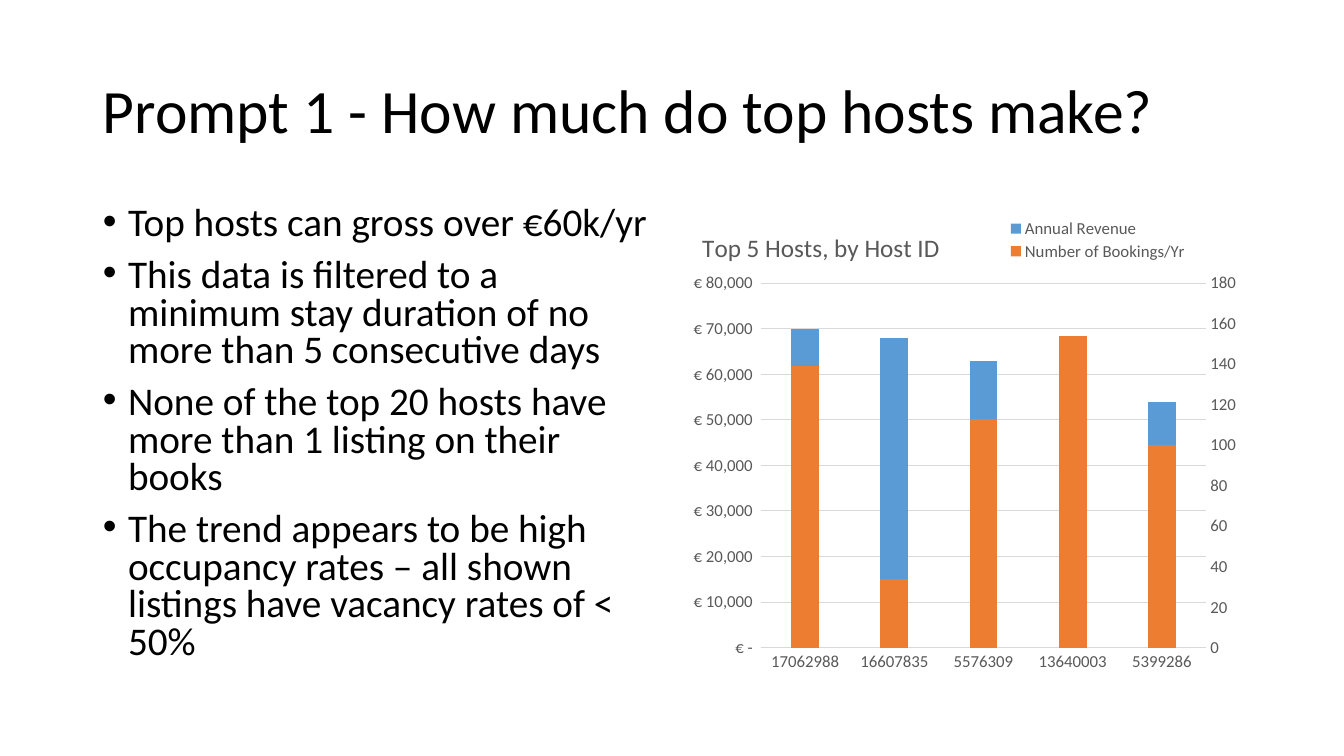
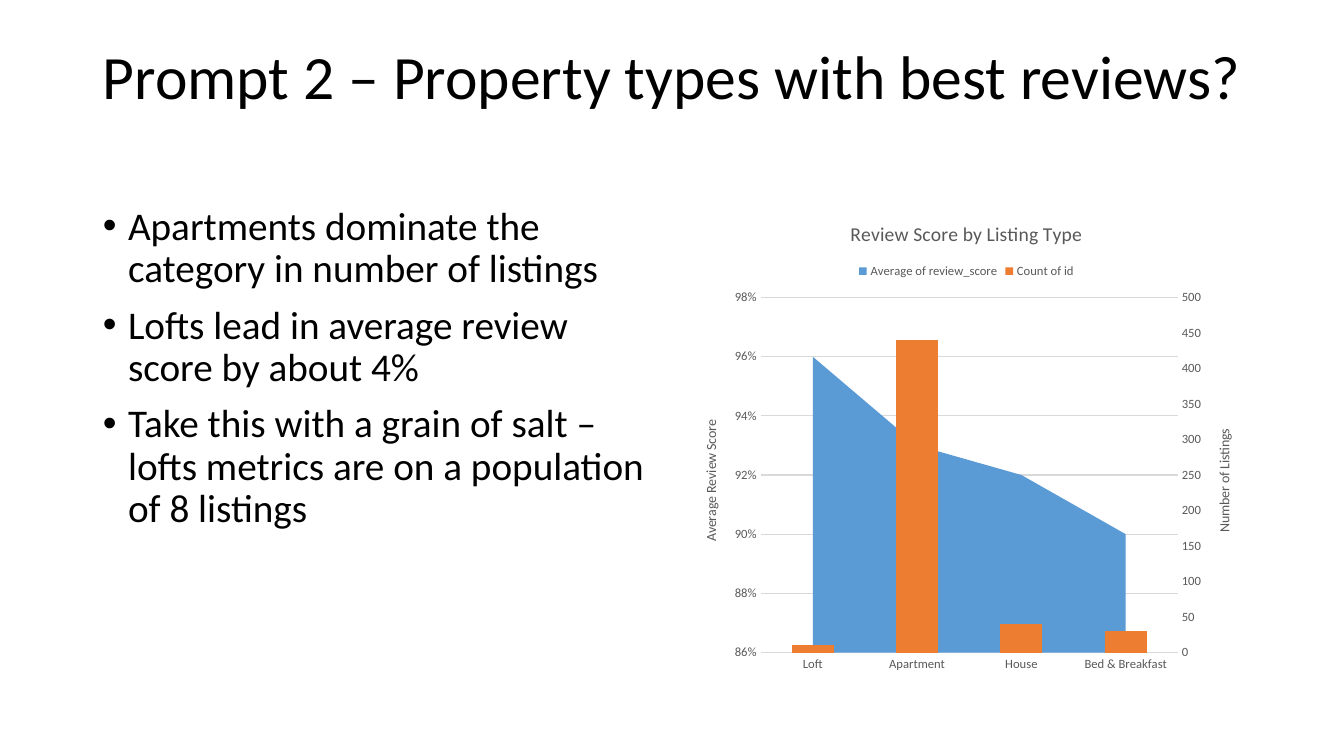
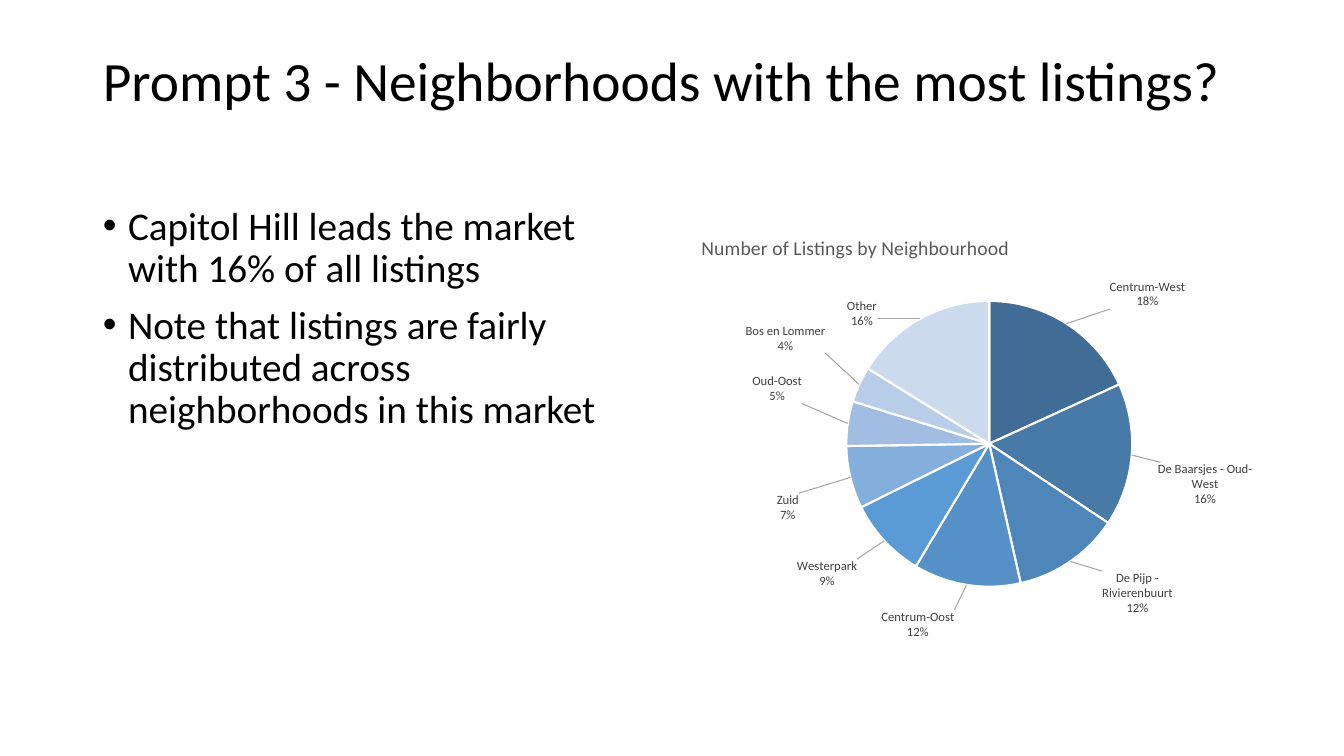
"""Build three slides about rental hosts, reviews and neighbourhoods."""
from copy import deepcopy

from pptx import Presentation
from pptx.chart.axis import CategoryAxis, ValueAxis
from pptx.chart.data import CategoryChartData
from pptx.dml.color import RGBColor
from pptx.enum.chart import XL_CHART_TYPE, XL_LABEL_POSITION, XL_LEGEND_POSITION, XL_TICK_MARK
from pptx.enum.text import MSO_ANCHOR, MSO_AUTO_SIZE, PP_ALIGN
from pptx.oxml import parse_xml
from pptx.oxml.ns import nsdecls, qn
from pptx.util import Inches, Pt

COLUMN, AREA, PIE = XL_CHART_TYPE.COLUMN_CLUSTERED, XL_CHART_TYPE.AREA, XL_CHART_TYPE.PIE
LEGEND_RIGHT, LEGEND_TOP = XL_LEGEND_POSITION.RIGHT, XL_LEGEND_POSITION.TOP
OUTSIDE_END = XL_LABEL_POSITION.OUTSIDE_END
NO_TICK = XL_TICK_MARK.NONE
LEFT, MIDDLE, TOP = PP_ALIGN.LEFT, MSO_ANCHOR.MIDDLE, MSO_ANCHOR.TOP
FIXED_SIZE = MSO_AUTO_SIZE.NONE

FONT = "Calibri"
COLORS = {
    "text": "000000", "muted": "595959", "label": "404040", "rule": "D9D9D9",
    "leader": "A6A6A6", "white": "FFFFFF", "blue": "5B9BD5", "orange": "ED7D31",
}
PIE_BLUES = ["406C95", "487AA8", "4F86B9", "5591C7", "5B9BD5",
             "84AEDC", "A1BEE2", "B8CDE8", "CCDAEE"]
EURO = r'_ [$€-413]\ * #,##0_ ;_ [$€-413]\ * \-#,##0_ ;_ [$€-413]\ * "-"_ ;_ @_ '
TITLE_AREA = (0.92, 0.4, 11.5, 1.45)
BODY_AREA = (0.92, 2, 5.67, 4.76)
CHART_AREA = (6.75, 2, 5.67, 4.76)


def rgb(value):
    return RGBColor.from_string(value)


def style_font(font, size, color):
    font.name, font.size, font.bold = FONT, Pt(size), False
    font.color.rgb = rgb(COLORS[color])


def style_line(line, color, width=0.75):
    line.color.rgb = rgb(COLORS[color])
    line.width = Pt(width)


def set_value(parent, tag, value):
    for child in parent.findall(qn(tag)):
        child.set("val", value)


def set_layout(holder, x, y, w=None, h=None, inner=False):
    old = holder.find(qn("c:layout"))
    if old is not None:
        holder.remove(old)
    parts = [("layoutTarget", "inner")] if inner else []
    parts += [("xMode", "edge"), ("yMode", "edge"), ("x", x), ("y", y)]
    if w is not None:
        parts += [("w", w), ("h", h)]
    body = "".join(f'<c:{tag} val="{value}"/>' for tag, value in parts)
    layout = parse_xml(f'<c:layout {nsdecls("c")}><c:manualLayout>{body}</c:manualLayout></c:layout>')
    holder.insert_element_before(layout, "c:areaChart", "c:barChart", "c:pieChart",
                                 "c:overlay", "c:spPr", "c:txPr")


class SlideBuilder:
    def __init__(self):
        self.deck = Presentation()
        self.deck.slide_width, self.deck.slide_height = Inches(13.33), Inches(7.5)
        self.page = None

    def add_page(self, title, size=44, bottom=0.05):
        self.page = self.deck.slides.add_slide(self.deck.slide_layouts[1])
        frame = self.fill_placeholder(0, TITLE_AREA, [title], size, 0.9)
        frame.vertical_anchor = MIDDLE
        frame.margin_bottom = Inches(bottom)

    def fill_placeholder(self, index, area, lines, size, spacing):
        box = self.page.placeholders[index]
        box.left, box.top, box.width, box.height = map(Inches, area)
        frame = box.text_frame
        frame.text = "\n".join(lines)
        frame.auto_size, frame.word_wrap = FIXED_SIZE, True
        for para in frame.paragraphs:
            para.alignment, para.line_spacing = LEFT, spacing
            style_font(para.font, size, "text")
        return frame

    def add_bullets(self, lines, spacing=0.9):
        frame = self.fill_placeholder(1, BODY_AREA, lines, 28, spacing)
        frame.vertical_anchor = TOP
        for para in frame.paragraphs:
            para.space_before = Pt(10)
            properties = para._p.get_or_add_pPr()
            properties.set("marL", str(Inches(0.25)))
            properties.set("indent", str(-Inches(0.25)))

    def add_chart(self, kind, categories, series, title, size, plot_area, title_at=None):
        data = CategoryChartData()
        data.categories = categories
        for name, values in series:
            data.add_series(name, values)
        chart = self.page.shapes.add_chart(kind, *map(Inches, CHART_AREA), data).chart
        style_font(chart.font, 10, "text")
        chart.has_legend = False
        chart.has_title = True
        self.write_title(chart.chart_title, title, size)
        if title_at:
            set_layout(chart.chart_title._element, *title_at)
        set_layout(chart._chartSpace.chart.plotArea, *plot_area, inner=True)
        return chart

    def write_title(self, title, text, size):
        title.text_frame.text = text
        style_font(title.text_frame.paragraphs[0].font, size, "muted")

    def add_legend(self, chart, position, size, area=None):
        chart.has_legend = True
        legend = chart.legend
        legend.position = position
        legend.include_in_layout = area is not None
        style_font(legend.font, size, "muted")
        if area:
            set_layout(legend._element, *area)

    def style_value_axis(self, axis, scale, size, number_format, title=None):
        axis.minimum_scale, axis.maximum_scale, axis.major_unit = scale
        axis.major_tick_mark = NO_TICK
        axis.format.line.fill.background()
        style_font(axis.tick_labels.font, size, "muted")
        axis.tick_labels.number_format = number_format
        axis.tick_labels.number_format_is_linked = False
        if title:
            self.write_title(axis.axis_title, title, 10)
            for body in axis.axis_title._element.iter(qn("a:bodyPr")):
                body.set("rot", "-5400000")
                body.set("vert", "horz")

    def combine(self, chart, size, left, right, gap, overlap):
        plot = chart.plots[0]
        plot.vary_by_categories = False
        if chart.chart_type == COLUMN:
            plot.gap_width, plot.overlap = gap, overlap
        for series, color in zip(plot.series, ("blue", "orange")):
            series.format.fill.solid()
            series.format.fill.fore_color.rgb = rgb(COLORS[color])
        plot_area = chart._chartSpace.chart.plotArea
        category, value = chart.category_axis, chart.value_axis
        set_value(value._element, "c:crossBetween", "between")
        second_category = deepcopy(category._element)
        second_value = deepcopy(value._element)
        for axis, own, other in ((second_category, "50010", "50020"),
                                 (second_value, "50020", "50010")):
            set_value(axis, "c:axId", own)
            set_value(axis, "c:crossAx", other)
        set_value(second_value, "c:axPos", "r")
        set_value(second_value, "c:crosses", "max")
        value._element.addnext(second_value)
        second_value.addnext(second_category)
        CategoryAxis(second_category).visible = False
        right_axis = ValueAxis(second_value)
        right_axis.has_major_gridlines = False
        self.style_value_axis(right_axis, size=size, **right)
        self.style_value_axis(value, size=size, **left)
        style_line(value.major_gridlines.format.line, "rule")
        category.major_tick_mark = NO_TICK
        style_line(category.format.line, "rule")
        style_font(category.tick_labels.font, size, "muted")
        bars = parse_xml(
            f'<c:barChart {nsdecls("c")}><c:barDir val="col"/><c:grouping val="clustered"/>'
            f'<c:varyColors val="0"/><c:gapWidth val="{gap}"/><c:overlap val="{overlap}"/>'
            '<c:axId val="50010"/><c:axId val="50020"/></c:barChart>')
        bars.insert(3, plot.series[1]._element)
        first_plot = next(child for child in plot_area if child.tag.endswith("Chart"))
        first_plot.addnext(bars)

    def style_pie(self, chart, offsets):
        series = chart.plots[0].series[0]
        for index, color in enumerate(PIE_BLUES):
            style = series.points[index].format
            style.fill.solid()
            style.fill.fore_color.rgb = rgb(color)
            style_line(style.line, "white", 1.5)
        labels = series.data_labels
        labels.show_category_name = labels.show_percentage = True
        labels.show_value = False
        labels.position = OUTSIDE_END
        style_font(labels.font, 9, "label")
        holder = labels._element
        for old in holder.findall(qn("c:showLeaderLines")):
            holder.remove(old)
        holder.append(parse_xml(f'<c:separator {nsdecls("c")}>\n</c:separator>'))
        shared = list(holder)
        for index, (x, y) in enumerate(offsets):
            label = parse_xml(
                f'<c:dLbl {nsdecls("c")}><c:idx val="{index}"/><c:layout><c:manualLayout>'
                f'<c:x val="{x}"/><c:y val="{y}"/></c:manualLayout></c:layout></c:dLbl>')
            label.extend(deepcopy(child) for child in shared)
            holder.insert(index, label)
        holder.append(parse_xml(f'<c:showLeaderLines {nsdecls("c")} val="1"/>'))
        holder.append(parse_xml(
            f'<c:leaderLines {nsdecls("c", "a")}><c:spPr><a:ln w="9525"><a:solidFill>'
            f'<a:srgbClr val="{COLORS["leader"]}"/></a:solidFill></a:ln></c:spPr></c:leaderLines>'))


def main():
    builder = SlideBuilder()

    builder.add_page("Prompt 1 - How much do top hosts make?")
    builder.add_bullets([
        "Top hosts can gross over €60k/yr",
        "This data is filtered to a minimum stay duration of no more than 5 consecutive days",
        "None of the top 20 hosts have more than 1 listing on their books",
        "The trend appears to be high occupancy rates – all shown listings "
        "have vacancy rates of < 50%",
    ], spacing=0.8)
    hosts = builder.add_chart(
        COLUMN, ["17062988", "16607835", "5576309", "13640003", "5399286"],
        [("Annual Revenue", [70000, 68000, 63000, 55000, 54000]),
         ("Number of Bookings/Yr", [139, 34, 113, 154, 100])],
        "Top 5 Hosts, by Host ID", 18, (0.14, 0.17, 0.78, 0.76), (0.03, 0.05))
    builder.add_legend(hosts, LEGEND_RIGHT, 12, (0.56, 0.03, 0.34, 0.1))
    builder.combine(hosts, 12,
                    {"scale": (0, 80000, 10000), "number_format": EURO},
                    {"scale": (0, 180, 20), "number_format": "General"}, 219, -27)

    builder.add_page("Prompt 2 – Property types with best reviews?", bottom=0.72)
    builder.add_bullets([
        "Apartments dominate the category in number of listings",
        "Lofts lead in average review score by about 4%",
        "Take this with a grain of salt – lofts metrics are on a population of 8 listings",
    ])
    reviews = builder.add_chart(
        AREA, ["Loft", "Apartment", "House", "Bed & Breakfast"],
        [("Average of review_score", [0.96, 0.93, 0.92, 0.9]),
         ("Count of id", [10, 440, 40, 30])],
        "Review Score by Listing Type", 14, (0.14, 0.2, 0.73, 0.74))
    builder.add_legend(reviews, LEGEND_TOP, 9)
    builder.combine(reviews, 9,
                    {"scale": (0.86, 0.98, 0.02), "number_format": "0%",
                     "title": "Average Review Score"},
                    {"scale": (0, 500, 50), "number_format": "General",
                     "title": "Number of Listings"}, 150, 0)

    builder.add_page("Prompt 3 - Neighborhoods with the most listings?", 39.6, 0.65)
    builder.add_bullets([
        "Capitol Hill leads the market with 16% of all listings",
        "Note that listings are fairly distributed across neighborhoods in this market",
    ])
    areas = builder.add_chart(
        PIE, ["Centrum-West", "De Baarsjes - Oud-West", "De Pijp - Rivierenbuurt",
              "Centrum-Oost", "Westerpark", "Zuid", "Oud-Oost", "Bos en Lommer", "Other"],
        [("Series 1", [18, 16, 12, 12, 9, 7, 5, 4, 16])],
        "Number of Listings by Neighbourhood", 14, (0.29, 0.1, 0.5, 0.81), (0.03, 0.06))
    builder.style_pie(areas, [(0.07, -0.02), (0.04, 0.06), (0.05, 0.01),
                              (-0.02, 0.04), (-0.04, 0.03), (-0.08, 0.03),
                              (-0.07, -0.04), (-0.05, -0.06), (-0.07, 0.03)])

    builder.deck.save("out.pptx")


if __name__ == "__main__":
    main()
